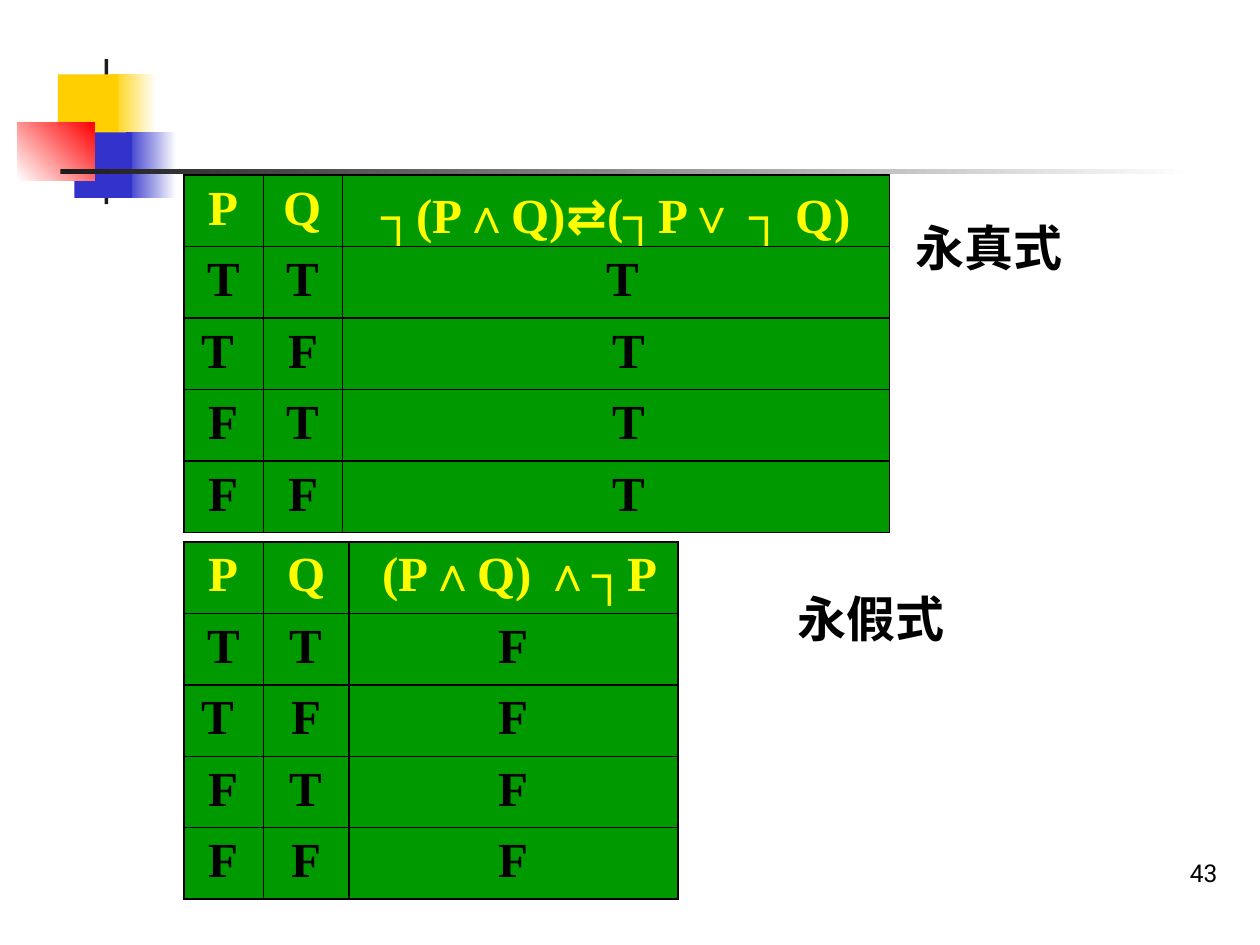
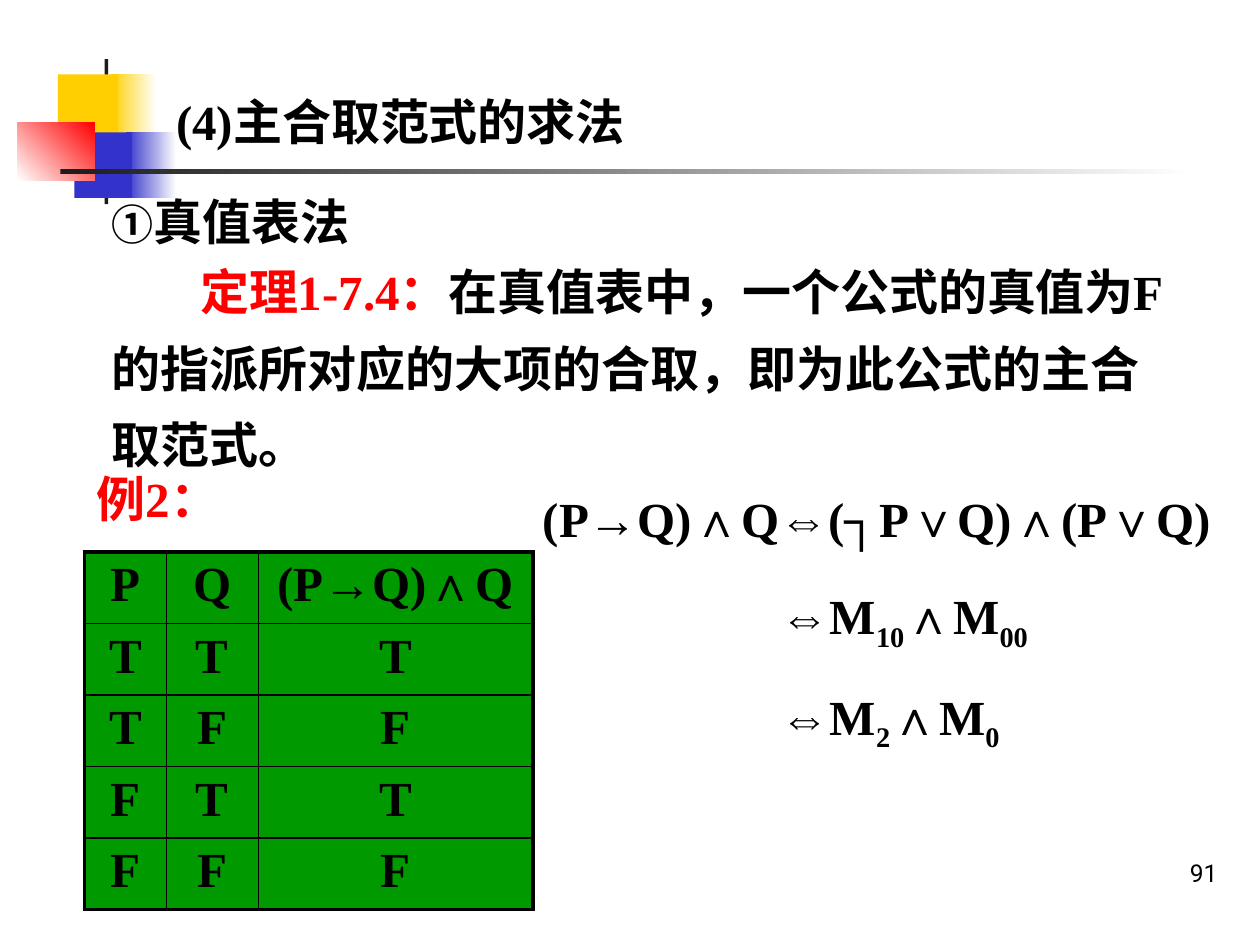
import pptx
import pptx.dml.color
import pptx.enum.shapes
import pptx.enum.text
import pptx.oxml
import pptx.oxml.ns
import pptx.util

RGB = pptx.dml.color.RGBColor
PX = 9144  # EMU per px: 100 px to the inch
SIZE = (1000, 750)

BLACK = RGB(0x00, 0x00, 0x00)
WHITE = RGB(0xFF, 0xFF, 0xFF)
INK = RGB(0x1C, 0x1C, 0x1C)
GOLD = RGB(0xFF, 0xCF, 0x01)
BLUE = RGB(0x33, 0x33, 0xCC)
RED = RGB(0xFF, 0x00, 0x00)
GREEN = RGB(0x00, 0x99, 0x00)
YELLOW = RGB(0xFF, 0xFF, 0x00)

SERIF = "Times New Roman"
MONO = "Noto Sans Mono"
SANS = "Roboto"
ALIGN = pptx.enum.text.PP_ALIGN
ANCHOR = pptx.enum.text.MSO_ANCHOR

# Left, top, width, height, start colour, end colour, angle
BLOCKS = [
    (88, 59, 36, 52, GOLD, WHITE, 0),
    (100, 105, 40, 52, BLUE, WHITE, 0),
    (83, 47, 3, 115, INK, INK, 0),
    (46, 59, 48, 52, GOLD, GOLD, 0),
    (59, 105, 46, 52, BLUE, BLUE, 0),
    (14, 97, 61, 46, WHITE, RED, 45),
    (48, 134, 900, 4, INK, WHITE, 0),
]
INPUTS = ["TT", "TF", "FT", "FF"]


def scale(*lengths):
    return [length * PX for length in lengths]


def style(para, color=BLACK, size=28, name=SERIF, bold=True, align=ALIGN.LEFT):
    para.alignment = align
    font = para.font
    font.size = pptx.util.Pt(size)
    font.name = name
    font.bold = bold
    font.color.rgb = color


def add_text(slide, box, parts, anchor=ANCHOR.TOP, **look):
    """Put one paragraph of runs in a text box; return the paragraph."""
    frame = slide.shapes.add_textbox(*scale(*box)).text_frame
    frame.word_wrap = True
    frame.vertical_anchor = anchor
    para = frame.paragraphs[0]
    for part in parts:
        para.add_run().text = part
    style(para, **look)
    return para


def add_math(slide, box, parts):
    """Write a formula whose every second part is a subscript."""
    para = add_text(slide, box, parts)
    for run in para.runs[1::2]:
        run._r.get_or_add_rPr().set("baseline", "-25000")


def add_block(group, box, start, end, angle):
    kind = pptx.enum.shapes.MSO_SHAPE.RECTANGLE
    block = group.shapes.add_shape(kind, *scale(*box))
    block.shadow.inherit = False
    block.line.fill.background()
    if start == end:
        block.fill.solid()
        block.fill.fore_color.rgb = start
        return
    block.fill.gradient()
    block.fill.gradient_angle = angle
    for stop, color in zip(block.fill.gradient_stops, (start, end)):
        stop.color.rgb = color


def add_base(deck, number):
    """Start a slide with the shared blocks, rule and page number."""
    slide = deck.slides.add_slide(deck.slide_layouts[6])
    group = slide.shapes.add_group_shape()
    for *box, start, end, angle in BLOCKS:
        add_block(group, box, start, end, angle)
    add_text(slide, (768, 659, 208, 50), [number], anchor=ANCHOR.BOTTOM,
             size=14, name=SANS, bold=False, align=ALIGN.RIGHT)
    return slide


def set_edges(cell, widths):
    props = cell._tc.get_or_add_tcPr()
    for index, (side, width) in enumerate(zip("LRTB", widths)):
        edge = pptx.oxml.parse_xml(
            f'<a:ln{side} {pptx.oxml.ns.nsdecls("a")} '
            f'w="{pptx.util.Pt(width)}"><a:solidFill>'
            f'<a:srgbClr val="{BLACK}"/></a:solidFill></a:ln{side}>')
        props.insert(index, edge)


def add_truth(slide, box, cols, formula, values, head=BLACK, rim=1, shifts={}):
    """Draw a truth table; shifts moves the text of a cell sideways in px."""
    rows = [["P", "Q", formula]]
    rows += [[*pair, value] for pair, value in zip(INPUTS, values)]
    frame = slide.shapes.add_table(len(rows), len(cols), *scale(*box))
    table = frame.table
    for col, width in zip(table.columns, cols):
        col.width = width * PX
    for y, row in enumerate(rows):
        table.rows[y].height = box[3] * PX // len(rows)
        for x, text in enumerate(row):
            cell = table.cell(y, x)
            cell.fill.solid()
            cell.fill.fore_color.rgb = GREEN
            shift = shifts.get((y, x), 0)
            cell.margin_left = (10 + max(shift, 0)) * PX
            cell.margin_right = (10 + max(-shift, 0)) * PX
            outer = (x == 0, x == len(cols) - 1, y == 0, y == len(rows) - 1)
            set_edges(cell, [rim if edge else 1 for edge in outer])
            para = cell.text_frame.paragraphs[0]
            for part in text:
                run = para.add_run()
                run.text = part
                if part == "⇄":
                    run.font.name = MONO
            style(para, color=BLACK if y else head, align=ALIGN.CENTER)
    return table


def add_kinds(deck):
    """Slide of an always true and an always false formula."""
    slide = add_base(deck, "43")
    add_truth(slide, (146, 430, 392, 283), (63, 68, 261), ["(P∧Q) ∧┐P"],
              "FFFF", head=YELLOW, shifts={(0, 2): 10, (2, 0): -10})
    add_truth(slide, (146, 139, 560, 283), (63, 63, 434),
              ["┐(P∧Q)", "⇄", "(┐P∨ ┐ Q)"], "TTTT", head=YELLOW,
              shifts={(1, 2): 10, (2, 0): -10,
                      (2, 2): 20, (3, 2): 20, (4, 2): 20})
    add_text(slide, (717, 168, 150, 57), ["永真式"])
    add_text(slide, (623, 462, 150, 57), ["永假式"])


def add_method(deck):
    """Slide of the truth table method."""
    slide = add_base(deck, "91")
    add_text(slide, (130, 68, 575, 57), ["(4)主合取范式的求法"])
    add_truth(slide, (67, 438, 356, 283), (65, 73, 218), ["(P→Q)∧Q"],
              "TFTF", rim=2.25)
    add_math(slide, (421, 383, 571, 57), ["(P→Q)∧Q⇔(┐P∨Q)∧(P∨Q)"])
    para = add_text(slide, (79, 147, 866, 57), ["①", "真值表法"])
    para.runs[0].font.size = pptx.util.Pt(24)
    para = add_text(slide, (79, 189, 866, 194), [
        "定理1-7.4：",
        "在真值表中，一个公式的真值为F的指派所对应的大项的合取，"
        "即为此公式的主合取范式。"])
    para.line_spacing = 1.3
    para._p.get_or_add_pPr().set("indent", str(70 * PX))
    para.runs[0].font.color.rgb = RED
    add_math(slide, (610, 460, 260, 57), ["⇔M", "10", "∧M", "00"])
    add_math(slide, (610, 540, 260, 57), ["⇔M", "2", "∧M", "0"])
    add_text(slide, (67, 367, 201, 57), ["例2："], color=RED)


def main():
    deck = pptx.Presentation()
    deck.slide_width, deck.slide_height = scale(*SIZE)
    add_kinds(deck)
    add_method(deck)
    deck.save("out.pptx")


if __name__ == "__main__":
    main()
